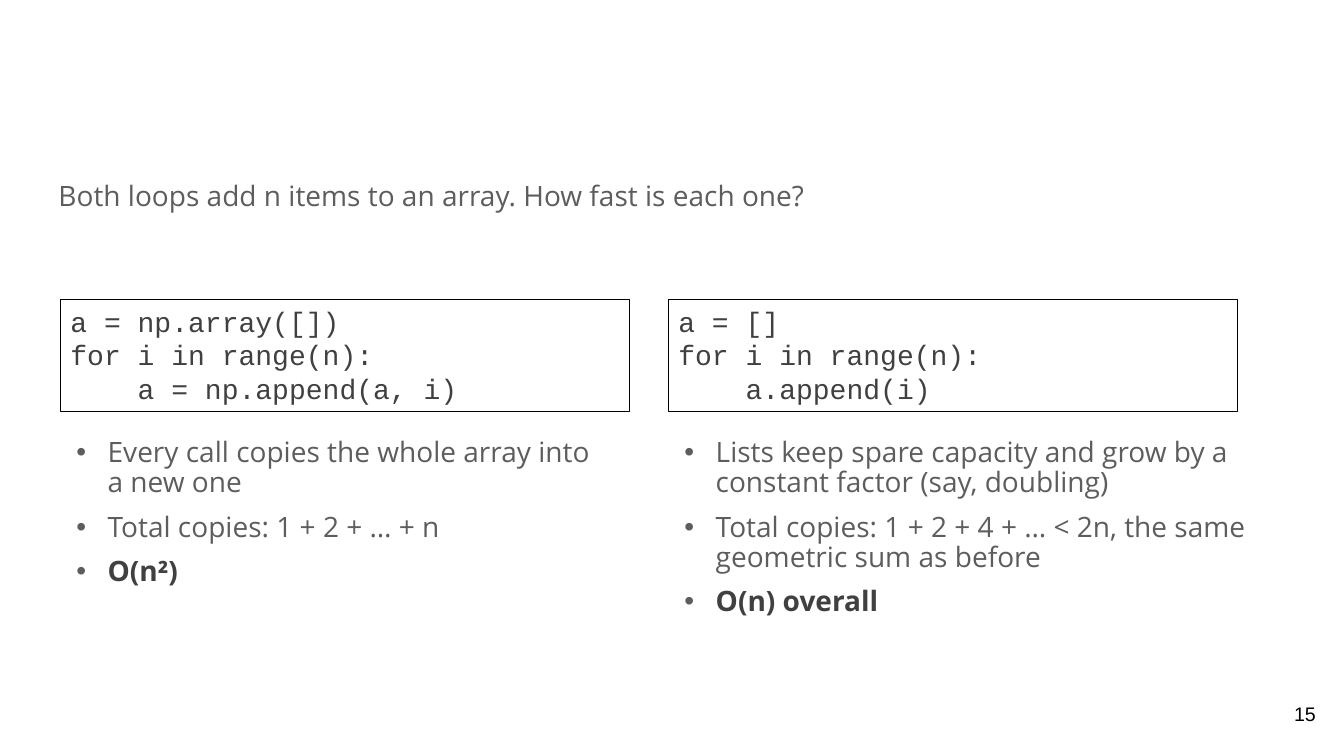
from dataclasses import dataclass

from lxml.etree import SubElement
from pptx import Presentation
from pptx.dml.color import RGBColor
from pptx.enum.shapes import MSO_SHAPE
from pptx.enum.text import MSO_ANCHOR, MSO_AUTO_SIZE, PP_ALIGN
from pptx.oxml.ns import qn
from pptx.util import Inches, Pt


@dataclass(frozen=True)
class Theme:
    body_font: str = "Open Sans"
    code_font: str = "Courier New"
    number_font: str = "Arial"
    text: str = "5D5D5D"
    strong: str = "404040"
    black: str = "000000"
    body_size: int = 20
    number_size: int = 14


THEME = Theme()


def add_run(p, text, font, color, size=THEME.body_size, bold=False):
    r = p.add_run()
    r.text = text
    r.font.name = font
    r.font.size = Pt(size)
    r.font.bold = bold
    r.font.color.rgb = RGBColor.from_string(color)


def set_frame(tf, left, top, right, bottom):
    tf.word_wrap = True
    tf.margin_left, tf.margin_top = Inches(left), Inches(top)
    tf.margin_right, tf.margin_bottom = Inches(right), Inches(bottom)


def add_text_box(s, x, y, w, h, margins):
    tf = s.shapes.add_textbox(Inches(x), Inches(y), Inches(w), Inches(h)).text_frame
    set_frame(tf, *margins)
    return tf


def paragraph(tf, index):
    return tf.add_paragraph() if index else tf.paragraphs[0]


def add_bullet(p):
    pPr = p._p.get_or_add_pPr()
    pPr.set("marL", str(Inches(0.31)))
    pPr.set("indent", str(-Inches(0.31)))
    color = SubElement(pPr, qn("a:buClr"))
    SubElement(color, qn("a:srgbClr"), val=THEME.text)
    SubElement(pPr, qn("a:buFont"), typeface="Arial")
    SubElement(pPr, qn("a:buChar"), char="•")


def add_question(s, text):
    tf = add_text_box(s, 0.45, 1.68, 12.42, 1.09, (0.13, 0.13, 0.13, 0.13))
    p = tf.paragraphs[0]
    p.line_spacing = 0.9
    add_run(p, text, THEME.body_font, THEME.text)


def add_code(s, x, lines):
    sp = s.shapes.add_shape(MSO_SHAPE.RECTANGLE, Inches(x), Inches(2.97),
                            Inches(5.64), Inches(1.11))
    sp.shadow.inherit = False
    sp.fill.background()
    sp.line.color.rgb = RGBColor.from_string(THEME.black)
    sp.line.width = Pt(0.75)
    tf = sp.text_frame
    set_frame(tf, 0.1, 0.05, 0.1, 0.05)
    tf.auto_size = MSO_AUTO_SIZE.SHAPE_TO_FIT_TEXT
    tf.vertical_anchor = MSO_ANCHOR.TOP
    for i, line in enumerate(lines):
        p = paragraph(tf, i)
        p.alignment = PP_ALIGN.LEFT
        add_run(p, line, THEME.code_font, THEME.strong)


def add_analysis(s, x, w, reasons, cost):
    tf = add_text_box(s, x, 4.35, w, 2.41, (0.1, 0, 0.1, 0.05))
    for i, text in enumerate([*reasons, cost]):
        p = paragraph(tf, i)
        p.line_spacing = 0.9
        p.space_before = Pt(10 if i else 0)
        add_bullet(p)
        is_cost = i == len(reasons)
        add_run(p, text, THEME.body_font,
                THEME.strong if is_cost else THEME.text, bold=is_cost)


def add_slide_number(s, number):
    tf = add_text_box(s, 12.35, 6.8, 0.8, 0.57, (0.1, 0.1, 0.1, 0.1))
    tf.vertical_anchor = MSO_ANCHOR.MIDDLE
    p = tf.paragraphs[0]
    p.alignment = PP_ALIGN.RIGHT
    add_run(p, number, THEME.number_font, THEME.black, THEME.number_size)


def main():
    prs = Presentation()
    prs.slide_width, prs.slide_height = Inches(13.33), Inches(7.5)
    s = prs.slides.add_slide(prs.slide_layouts[6])

    add_question(s, "Both loops add n items to an array. How fast is each one?")

    # Left column: array append
    add_code(s, 0.6, ["a = np.array([])",
                      "for i in range(n):",
                      "    a = np.append(a, i)"])
    add_analysis(s, 0.66, 5.47,
                 ["Every call copies the whole array into a new one",
                  "Total copies: 1 + 2 + … + n"],
                 "O(n²)")

    # Right column: list append
    add_code(s, 6.63, ["a = []",
                       "for i in range(n):",
                       "    a.append(i)"])
    add_analysis(s, 6.69, 6.01,
                 ["Lists keep spare capacity and grow by a constant factor (say, doubling)",
                  "Total copies: 1 + 2 + 4 + … < 2n, the same geometric sum as before"],
                 "O(n) overall")

    add_slide_number(s, "15")
    prs.save("out.pptx")


if __name__ == "__main__":
    main()
